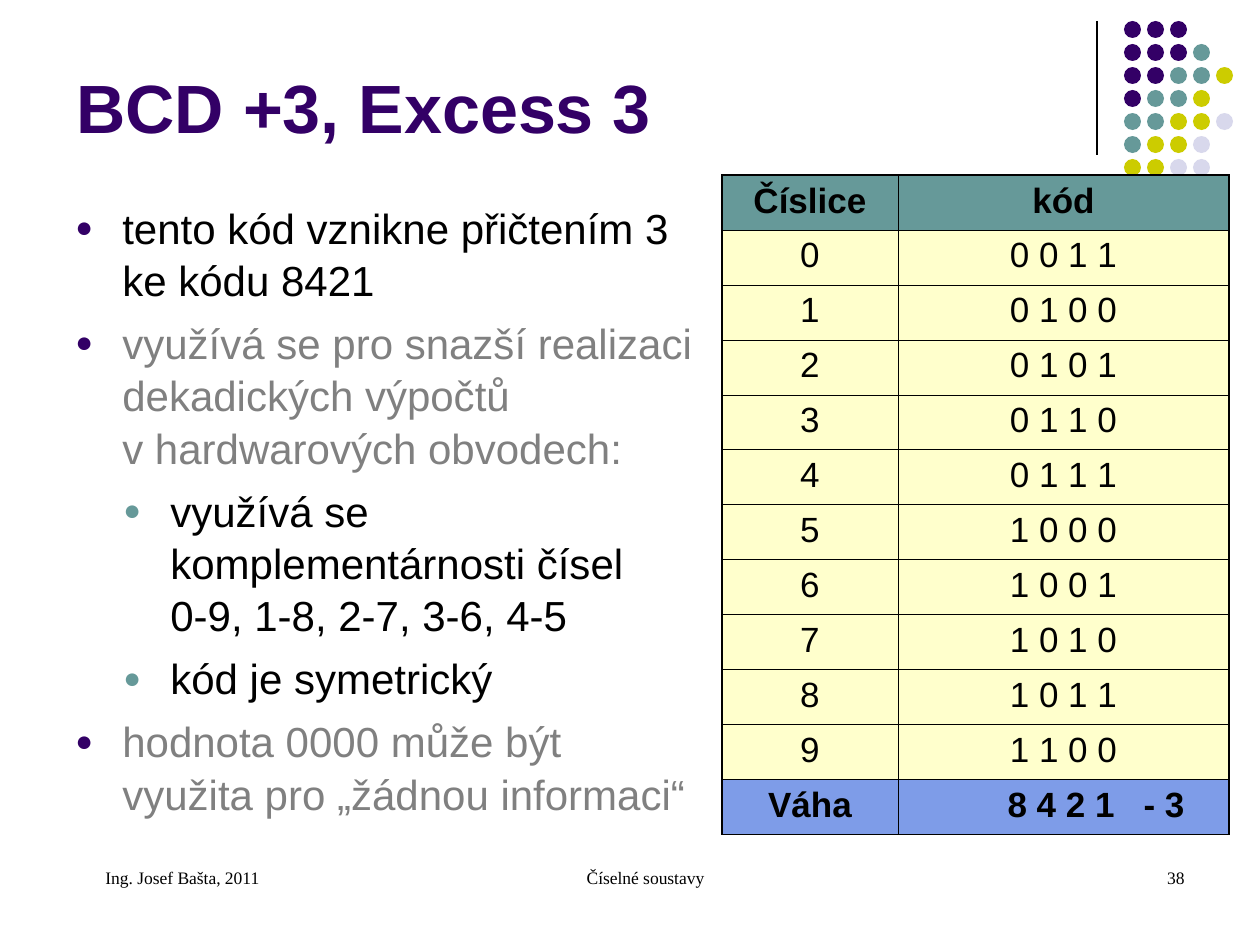
"""Build the BCD +3 (Excess 3) slide: dot motif, bullet list and code table."""
from lxml import etree
from pptx import Presentation
from pptx.dml.color import RGBColor
from pptx.enum.shapes import MSO_CONNECTOR, MSO_SHAPE
from pptx.enum.text import MSO_ANCHOR, PP_ALIGN
from pptx.oxml.ns import qn
from pptx.util import Pt

LEFT, CENTER, RIGHT = PP_ALIGN.LEFT, PP_ALIGN.CENTER, PP_ALIGN.RIGHT
TOP, BOTTOM = MSO_ANCHOR.TOP, MSO_ANCHOR.BOTTOM
ELLIPSE, STRAIGHT = MSO_SHAPE.OVAL, MSO_CONNECTOR.STRAIGHT
PX = 914400 / 126

COLORS = {
    "purple": "330066", "teal": "669999", "olive": "CCCC00", "lilac": "D8D8EC",
    "black": "000000", "gray": "808080", "cream": "FFFFCC", "blue": "7E9CE8",
}
DOT_COLORS = {"P": "purple", "T": "teal", "O": "olive", "L": "lilac"}
DOTS = ["PPP", "PPPT", "PPTTO", "PTTO", "TTOOL", "TOOL", "OOLL", " L L"]
DOT_X, DOT_Y, DOT_SIZE, DOT_STEP = 1124, 21, 17, 23

TITLE = "BCD +3, Excess 3"
BULLETS = [
    (0, "black", "tento kód vznikne přičtením 3\vke kódu 8421"),
    (0, "gray", "využívá se pro snazší realizaci dekadických výpočtů\vv hardwarových obvodech:"),
    (1, "black", "využívá se komplementárnosti čísel\v0-9, 1-8, 2-7, 3-6, 4-5"),
    (1, "black", "kód je symetrický"),
    (0, "gray", "hodnota 0000 může být využita pro „žádnou informaci“"),
]
BULLET_COLORS = ["purple", "teal"]
BULLET_INDENT, LEVEL_STEP = 47, 48

HEADER = ("Číslice", "kód")
CODES = ["0 0 1 1", "0 1 0 0", "0 1 0 1", "0 1 1 0", "0 1 1 1",
         "1 0 0 0", "1 0 0 1", "1 0 1 0", "1 0 1 1", "1 1 0 0"]
WEIGHTS = ("Váha", "\t8 4 2 1\t- 3")
WEIGHT_TABS = (97, 233)
TABLE_X, TABLE_Y, ROW_H = 722, 175, 55
COL_W = (176, 331)
OUTER, INNER = 1.08, 0.45

FOOTERS = [
    ((431, 861, 399, 63), CENTER, "Číselné soustavy"),
    ((903, 861, 294, 63), RIGHT, "38"),
    ((63, 861, 294, 63), LEFT, "Ing. Josef Bašta, 2011"),
]
FOOTER_INDENT = 30


def px(n):
    return round(n * PX)


def rgb(name):
    return RGBColor.from_string(COLORS[name])


def sub(parent, tag, **attrs):
    return etree.SubElement(parent, qn(tag), {k: str(v) for k, v in attrs.items()})


def write(p, text, color="black", align=LEFT, **fmt):
    p.text = text
    p.alignment = align
    for r in p.runs:
        for key, value in fmt.items():
            setattr(r.font, key, value)
        r.font.color.rgb = rgb(color)


def add_box(slide, box, anchor=TOP):
    tf = slide.shapes.add_textbox(*map(px, box)).text_frame
    tf.word_wrap = True
    tf.vertical_anchor = anchor
    return tf


def add_tabs(p, stops):
    tabs = sub(p._p.get_or_add_pPr(), "a:tabLst")
    for stop in stops:
        sub(tabs, "a:tab", pos=px(stop), algn="l")


def add_bullet(p, level):
    pPr = p._p.get_or_add_pPr()
    pPr.set("marL", str(px(BULLET_INDENT + level * LEVEL_STEP)))
    pPr.set("indent", str(-px(BULLET_INDENT)))
    sub(sub(pPr, "a:buClr"), "a:srgbClr", val=COLORS[BULLET_COLORS[level]])
    sub(pPr, "a:buSzPct", val=70000)
    sub(pPr, "a:buFont", typeface="Arial")
    sub(pPr, "a:buChar", char="●")


def add_motif(slide):
    line = slide.shapes.add_connector(STRAIGHT, px(1097), px(21), px(1097), px(155))
    line.line.color.rgb = rgb("black")
    line.line.width = Pt(0.75)
    sub(line._element.spPr, "a:effectLst")
    group = slide.shapes.add_group_shape()
    for row, marks in enumerate(DOTS):
        for col, mark in enumerate(marks):
            if mark in DOT_COLORS:
                dot = group.shapes.add_shape(
                    ELLIPSE, px(DOT_X + col * DOT_STEP), px(DOT_Y + row * DOT_STEP),
                    px(DOT_SIZE), px(DOT_SIZE))
                dot.shadow.inherit = False
                dot.fill.solid()
                dot.fill.fore_color.rgb = rgb(DOT_COLORS[mark])
                dot.line.fill.background()


def add_body(slide):
    tf = add_box(slide, (63, 194, 643, 650))
    for i, (level, color, text) in enumerate(BULLETS):
        p = tf.add_paragraph() if i else tf.paragraphs[0]
        p.level = level
        p.line_spacing = 1.04
        p.space_before = Pt(6 if i else 0)
        add_bullet(p, level)
        write(p, text, color, size=Pt(24), name="Arial")


def style_cell(cell, fill, outer):
    tcPr = cell._tc.get_or_add_tcPr()
    for tag, is_outer in outer.items():
        ln = sub(tcPr, tag, w=Pt(OUTER if is_outer else INNER))
        sub(sub(ln, "a:solidFill"), "a:srgbClr", val=COLORS["black"])
    cell.fill.solid()
    cell.fill.fore_color.rgb = rgb(fill)


def add_code_table(slide):
    rows = [HEADER, *((str(n), code) for n, code in enumerate(CODES)), WEIGHTS]
    last = len(rows) - 1
    table = slide.shapes.add_table(
        len(rows), len(COL_W), px(TABLE_X), px(TABLE_Y),
        px(sum(COL_W)), px(ROW_H * len(rows))).table
    for col, width in zip(table.columns, COL_W):
        col.width = px(width)
    for i, texts in enumerate(rows):
        table.rows[i].height = px(ROW_H)
        fill = {0: "teal", last: "blue"}.get(i, "cream")
        for j, text in enumerate(texts):
            cell = table.cell(i, j)
            style_cell(cell, fill, {"a:lnL": j == 0, "a:lnR": j == 1,
                                    "a:lnT": i == 0, "a:lnB": i == last})
            p = cell.text_frame.paragraphs[0]
            tabbed = "\t" in text
            if tabbed:
                add_tabs(p, WEIGHT_TABS)
            write(p, text, align=LEFT if tabbed else CENTER,
                  size=Pt(20), name="Arial", bold=i in (0, last))


def main():
    prs = Presentation()
    prs.slide_width, prs.slide_height = px(1260), px(945)
    slide = prs.slides.add_slide(prs.slide_layouts[6])
    add_motif(slide)
    title = add_box(slide, (64, 45, 1040, 108), BOTTOM)
    write(title.paragraphs[0], TITLE, "purple", size=Pt(39), name="Arial", bold=True)
    add_body(slide)
    add_code_table(slide)
    for box, align, text in FOOTERS:
        p = add_box(slide, box).paragraphs[0]
        p._p.get_or_add_pPr().set("marL", str(px(FOOTER_INDENT)))
        write(p, text, align=align, size=Pt(10), name="Times New Roman")
    prs.save("out.pptx")


if __name__ == "__main__":
    main()
